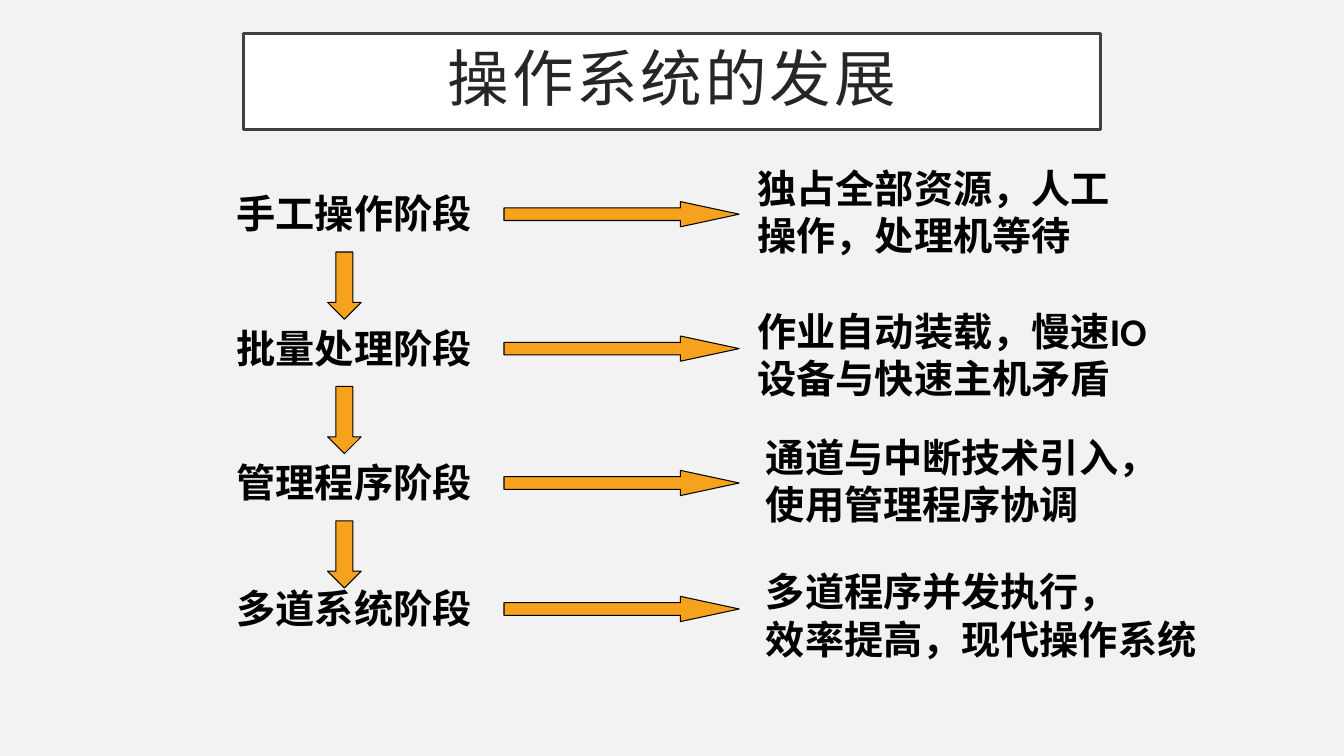
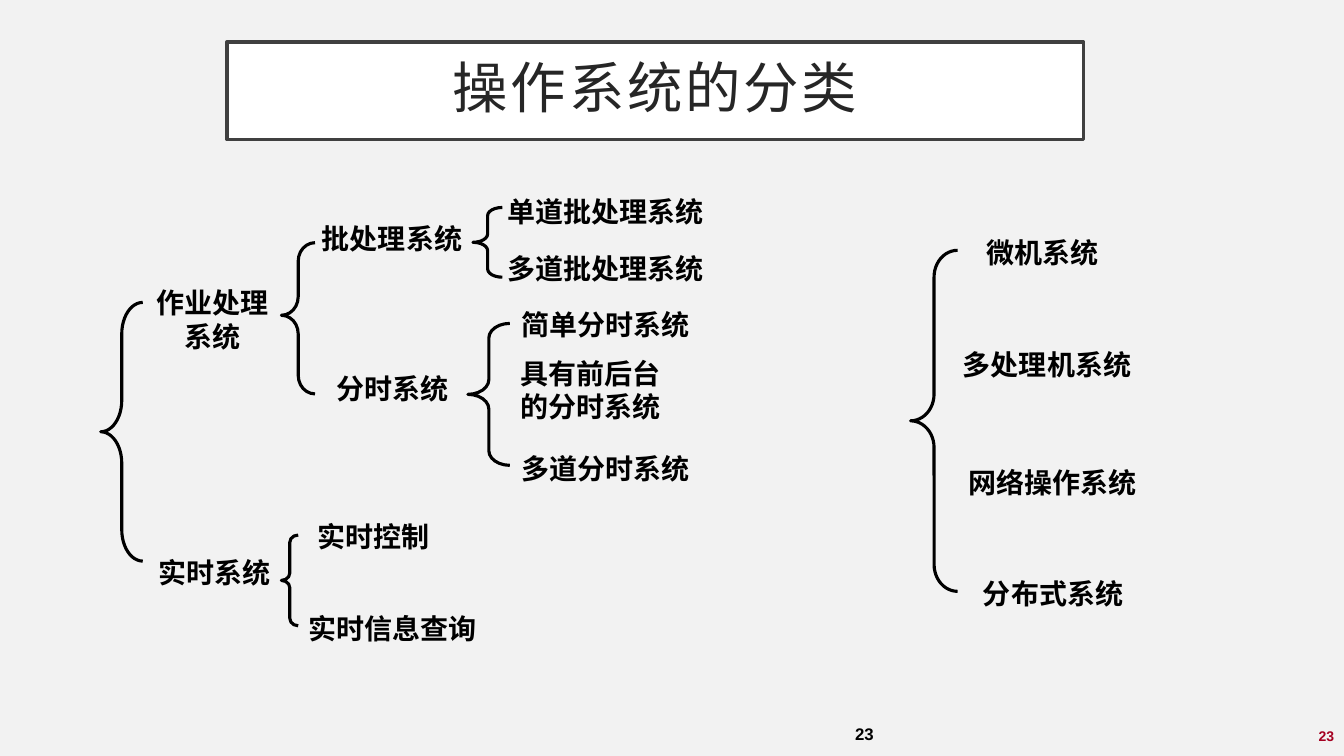
from dataclasses import dataclass

from pptx import Presentation, util as u
from pptx.dml.color import RGBColor
from pptx.enum import shapes, text
from pptx.oxml.ns import qn
from lxml import etree

# Shared grid (twelve cells to the inch), colours and fonts
COLS, ROWS = 160, 90
BACK, WHITE, BLACK = "F2F2F2", "FFFFFF", "000000"
FRAME, INK, GOLD, RED = "404040", "262626", "F6A21D", "A50021"
HEAD, BODY, SANS = "Noto Sans CJK SC", "Calibri", "Arial"
KIND = shapes.MSO_SHAPE
ALIGN = text.PP_ALIGN
ANCHOR = text.MSO_ANCHOR


@dataclass
class Box:
    x: float
    y: float
    w: float
    h: float


@dataclass
class Style:
    size: float
    font: str = SANS
    east: str = BODY
    color: str = BLACK
    bold: bool = True
    align: ALIGN = ALIGN.LEFT
    gap: int = 0  # letter spacing, hundredths of a point
    lead: float = 1


@dataclass
class Stage:
    y: float
    name: str
    note: str
    box: Box


@dataclass
class Label:
    x: float
    y: float
    words: str


@dataclass
class Brace:
    box: Box
    curl: float
    tip: float = 0.5


@dataclass
class Tree:
    braces: list[Brace]
    labels: list[Label]


def cell(n: float) -> int:
    return u.Inches(n / 12)


def rgb(code: str) -> RGBColor:
    return RGBColor.from_string(code)


def place(box: Box) -> tuple[int, int, int, int]:
    return cell(box.x), cell(box.y), cell(box.w), cell(box.h)


def write(frame, words: str, style: Style) -> None:
    for i, line in enumerate(words.split("\n")):
        para = frame.paragraphs[0] if i == 0 else frame.add_paragraph()
        para.alignment, para.line_spacing = style.align, style.lead
        run = para.add_run()
        run.text = line
        font = run.font
        font.size, font.name, font.bold = u.Pt(style.size), style.font, style.bold
        font.color.rgb = rgb(style.color)
        props = run._r.get_or_add_rPr()
        etree.SubElement(props, qn("a:ea")).set("typeface", style.east)
        if style.gap:
            props.set("spc", str(style.gap))


def add_text(pool, box: Box, words: str, style: Style,
             wrap: bool = True, anchor: ANCHOR = ANCHOR.TOP) -> None:
    frame = pool.add_textbox(*place(box)).text_frame
    frame.word_wrap, frame.vertical_anchor = wrap, anchor
    write(frame, words, style)


def add_form(pool, kind: KIND, box: Box, fill: str | None, line: str,
             width: float, adj: tuple[float, ...] = ()):
    form = pool.add_shape(kind, *place(box))
    form.shadow.inherit = False
    if fill:
        form.fill.solid()
        form.fill.fore_color.rgb = rgb(fill)
    else:
        form.fill.background()
    form.line.color.rgb = rgb(line)
    form.line.width = u.Pt(width)
    for i, part in enumerate(adj):
        form.adjustments[i] = part
    return form


def add_page(deck, title: str, box: Box, size: float):
    page = deck.slides.add_slide(deck.slide_layouts[6])
    page.background.fill.solid()
    page.background.fill.fore_color.rgb = rgb(BACK)
    frame = add_form(page.shapes, KIND.RECTANGLE, box, WHITE, FRAME, 2.5).text_frame
    frame.word_wrap, frame.vertical_anchor = True, ANCHOR.MIDDLE
    frame.margin_left = frame.margin_right = u.Inches(0.2)
    frame.margin_top = frame.margin_bottom = u.Inches(0.2)
    write(frame, title, Style(size, HEAD, HEAD, INK, False, ALIGN.CENTER, 200, 0.9))
    return page


# Stages of development
STAGES = [
    Stage(22, "手工操作阶段", "独占全部资源，人工操作，处理机等待", Box(89, 19, 47, 12.4)),
    Stage(38, "批量处理阶段", "作业自动装载，慢速IO设备与快速主机矛盾", Box(89, 36, 51, 12.4)),
    Stage(54, "管理程序阶段", "通道与中断技术引入，使用管理程序协调", Box(90, 51, 50, 12.4)),
    Stage(69, "多道系统阶段", "多道程序并发执行，\n效率提高，现代操作系统", Box(90, 67, 54.2, 12.4)),
]


def add_stages(pool) -> None:
    style = Style(28, BODY)
    for i, stage in enumerate(STAGES):
        add_text(pool, Box(27, stage.y, 43, 6.8), stage.name, style)
        add_form(pool, KIND.RIGHT_ARROW, Box(60, stage.y + 2, 28, 3),
                 GOLD, BLACK, 0.75, (0.5, 2.33))
        if i < len(STAGES) - 1:
            add_form(pool, KIND.DOWN_ARROW, Box(39, stage.y + 8, 4, 8),
                     GOLD, BLACK, 0.75, (0.5, 0.5))
        add_text(pool, stage.box, stage.note, style)


# Trees of system types
TREES = [
    Tree(
        [
            Brace(Box(12, 36, 5, 30.8), 0.75),
            Brace(Box(33.5, 28.9, 4, 18), 0.55, 0.48),
            Brace(Box(56.3, 24.7, 3.5, 8.3), 0.28),
            Brace(Box(55.7, 38.5, 5, 16.9), 0.35),
            Brace(Box(33.5, 63.7, 2, 10.8), 0.44),
        ],
        [
            Label(17.4, 33.4, "作业处理\n系统"),
            Label(37.1, 25.8, "批处理系统"),
            Label(38.8, 43.6, "分时系统"),
            Label(59.2, 22.6, "单道批处理系统"),
            Label(59.2, 29.3, "多道批处理系统"),
            Label(60.8, 36, "简单分时系统"),
            Label(60.7, 41.8, "具有前后台\n的分时系统"),
            Label(60.8, 53.2, "多道分时系统"),
            Label(17.6, 65.5, "实时系统"),
            Label(36.6, 61.2, "实时控制"),
            Label(35.5, 72.2, "实时信息查询"),
        ],
    ),
    Tree(
        [Brace(Box(108.4, 29.8, 5.6, 40.6), 0.57)],
        [
            Label(116.2, 27.4, "微机系统"),
            Label(113.4, 40.8, "多处理机系统"),
            Label(114.1, 54.8, "网络操作系统"),
            Label(115.8, 68, "分布式系统"),
        ],
    ),
]


def add_tree(pool, tree: Tree) -> None:
    group = pool.add_group_shape().shapes
    for brace in tree.braces:
        add_form(group, KIND.LEFT_BRACE, brace.box, None, BLACK, 2.25,
                 (brace.curl, brace.tip))
    style = Style(20, align=ALIGN.CENTER)
    for label in tree.labels:
        # Each box fits its longest line and its line count
        lines = label.words.split("\n")
        size = Box(label.x, label.y, 2.4 + 3.35 * max(map(len, lines)),
                   1.2 + 4.04 * len(lines))
        add_text(group, size, label.words, style, wrap=False)


def add_mark(pool, x: float, y: float, size: float, color: str) -> None:
    add_text(pool, Box(x, y, 33, 3.4), "23",
             Style(size, color=color, align=ALIGN.RIGHT), anchor=ANCHOR.BOTTOM)


def main() -> None:
    deck = Presentation()
    deck.slide_width, deck.slide_height = cell(COLS), cell(ROWS)

    page = add_page(deck, "操作系统的发展", Box(29, 4, 102, 11.4), 44)
    add_stages(page.shapes)

    page = add_page(deck, "操作系统的分类", Box(27, 5, 102, 11.6), 39.6)
    for tree in TREES:
        add_tree(page.shapes, tree)
    add_mark(page.shapes, 72.2, 85.7, 12, BLACK)
    add_mark(page.shapes, 127, 85.8, 10, RED)

    deck.save("out.pptx")


if __name__ == "__main__":
    main()
